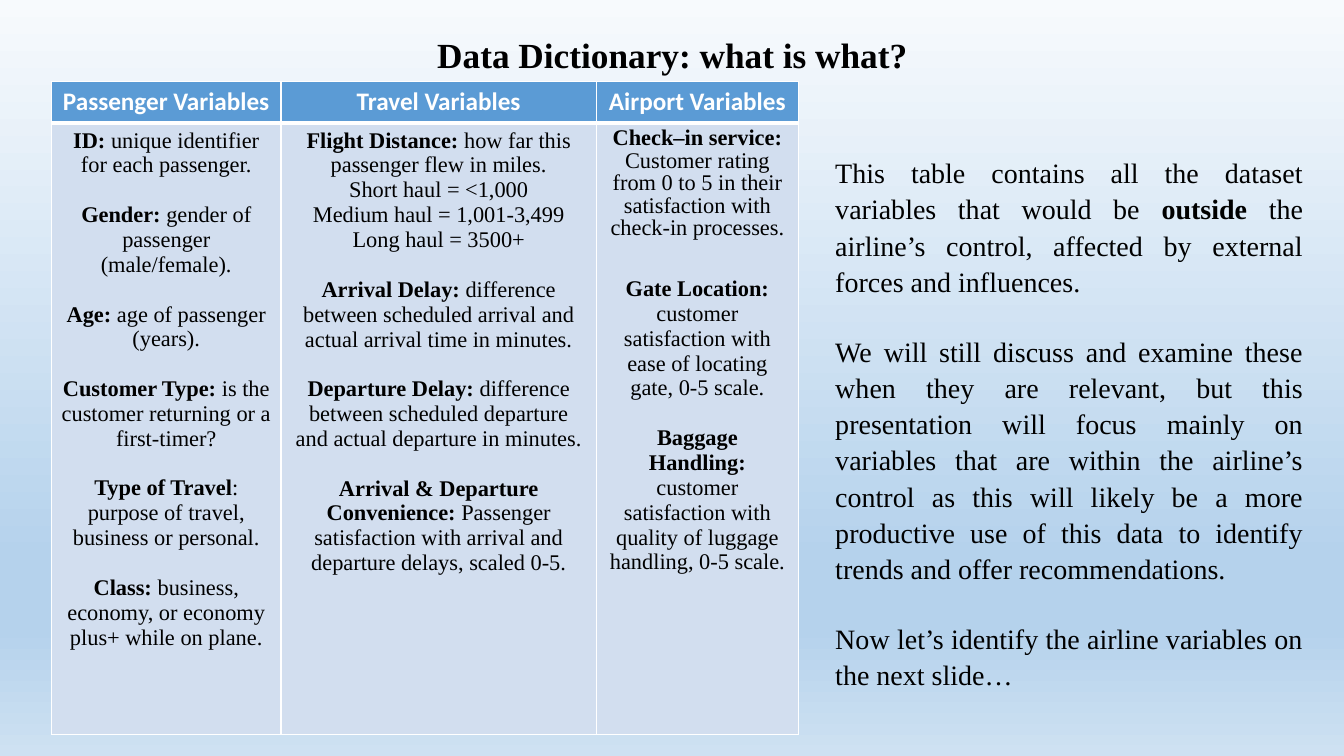
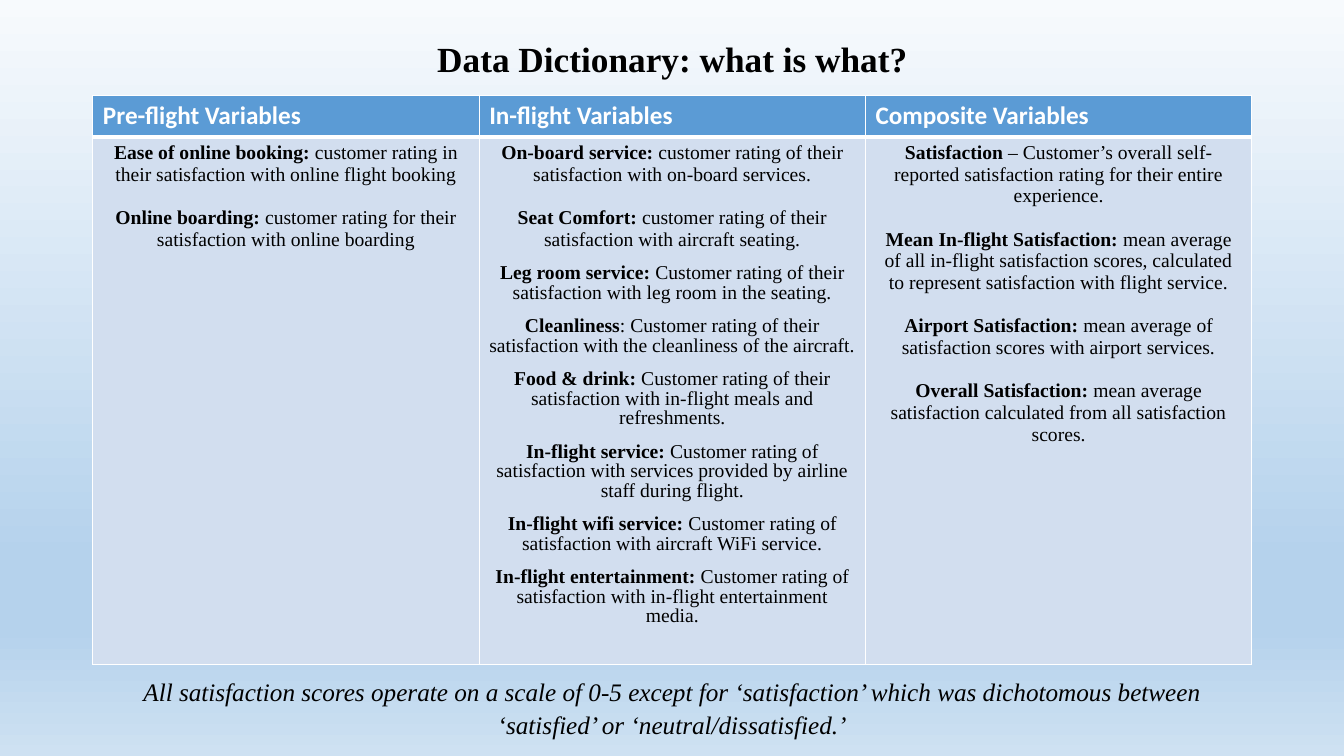
from lxml import etree
from pptx import Presentation
from pptx.dml.color import RGBColor
from pptx.enum.text import MSO_ANCHOR, PP_ALIGN
from pptx.oxml.ns import qn
from pptx.util import Cm, Pt

LEFT, CENTER, JUSTIFY = PP_ALIGN.LEFT, PP_ALIGN.CENTER, PP_ALIGN.JUSTIFY
MIDDLE = MSO_ANCHOR.MIDDLE

SERIF, SANS = "Times New Roman", "Calibri"
BLACK, WHITE, HEADER, BODY = "000000", "FFFFFF", "5B9BD5", "D2DEEF"
BACKGROUND = [(0, "F7FAFD"), (74, "B5D2EC"), (83, "B5D2EC"), (100, "CEE1F2")]
TITLE = "Data Dictionary: what is what?"
MARGIN, CONTENT_W = 2.34, 29.21
HEADER_H = 1.04
LOOSE = 1.08  # line spacing of the running text


def rgb(value):
    return RGBColor.from_string(value)


def write(tf, paragraphs, size, align=CENTER, color=BLACK, font=SERIF):
    """Each paragraph: space before, line spacing, then bold and regular runs in turn."""
    tf.word_wrap = True
    for i, (gap, spacing, *runs) in enumerate(paragraphs):
        p = tf.add_paragraph() if i else tf.paragraphs[0]
        p.alignment, p.line_spacing, p.space_before = align, spacing, Pt(gap)
        p.font.size, p.font.name, p.font.color.rgb = Pt(size), font, rgb(color)
        for k, text in enumerate(runs):
            if text:
                r = p.add_run()
                r.text = text
                r.font.bold = k % 2 == 0


# Content: a gap of one line separates most entries
LINE_16, LINE_14, LINE_20 = 17.7, 15.5, 23.9

passenger = [
    (0, 1, "ID:", " unique identifier for each passenger."),
    (LINE_16, 1, "Gender:", " gender of passenger (male/female)."),
    (LINE_16, 1, "Age:", " age of passenger (years)."),
    (LINE_16, 1, "Customer Type:", " is the customer returning or a first-timer?"),
    (LINE_16, 1, "Type of Travel", ": purpose of travel, business or personal."),
    (LINE_16, 1, "Class: ", "business, economy, or economy plus+ while on plane."),
]
travel = [
    (0, 1, "Flight Distance: ", "how far this passenger flew in miles."),
    (0, 1, "", "Short haul = <1,000"),
    (0, 1, "", "Medium haul = 1,001-3,499"),
    (0, 1, "", "Long haul = 3500+"),
    (LINE_16, 1, "Arrival Delay: ",
     "difference between scheduled arrival and actual arrival time in minutes."),
    (LINE_16, 1, "Departure Delay:",
     " difference between scheduled departure and actual departure in minutes."),
    (LINE_16, 1, "Arrival & Departure Convenience:",
     " Passenger satisfaction with arrival and departure delays, scaled 0-5."),
]
airport = [
    (0, 0.9, "Check–in service:",
     " Customer rating from 0 to 5 in their satisfaction with check-in processes."),
    (26, 1, "Gate Location:", " customer satisfaction with ease of locating gate, 0-5 scale."),
    (LINE_16, 1, "Baggage Handling:",
     " customer satisfaction with quality of luggage handling, 0-5 scale."),
]
pre_flight = [
    (0, 1, "Ease of online booking:",
     " customer rating in their satisfaction with online flight booking"),
    (LINE_14, 1, "Online boarding: ",
     "customer rating for their satisfaction with online boarding"),
]
in_flight = [
    (0, 1, "On-board service: ", "customer rating of their satisfaction with on-board services."),
    (LINE_14, 1, "Seat Comfort: ",
     "customer rating of their satisfaction with aircraft seating."),
    (10, 0.9, "Leg room service:",
     " Customer rating of their satisfaction with leg room in the seating."),
    (10, 0.9, "Cleanliness",
     ": Customer rating of their satisfaction with the cleanliness of the aircraft."),
    (10, 0.9, "Food & drink:",
     " Customer rating of their satisfaction with in-flight meals and refreshments."),
    (10, 0.9, "In-flight service:",
     " Customer rating of satisfaction with services provided by airline staff during flight."),
    (10, 0.9, "In-flight wifi service:",
     " Customer rating of satisfaction with aircraft WiFi service."),
    (10, 0.9, "In-flight entertainment:",
     " Customer rating of satisfaction with in-flight entertainment media."),
]
composite = [
    (0, 1, "Satisfaction",
     " – Customer’s overall self-reported satisfaction rating for their entire experience."),
    (LINE_14, 1, "Mean In-flight Satisfaction:",
     " mean average of all in-flight satisfaction scores, calculated to represent"
     " satisfaction with flight service."),
    (LINE_14, 1, "Airport Satisfaction:",
     " mean average of satisfaction scores with airport services."),
    (LINE_14, 1, "Overall Satisfaction: ",
     "mean average satisfaction calculated from all satisfaction scores."),
]
intro = [
    (0, LOOSE, "", "This table contains all the dataset variables that would be ", "outside",
     " the airline’s control, affected by external forces and influences."),
    (LINE_20, LOOSE, "",
     "We will still discuss and examine these when they are relevant, but this presentation"
     " will focus mainly on variables that are within the airline’s control as this will"
     " likely be a more productive use of this data to identify trends and offer"
     " recommendations."),
    (LINE_20, LOOSE, "", "Now let’s identify the airline variables on the next slide…"),
]
scale_note = [
    (0, LOOSE, "",
     "All satisfaction scores operate on a scale of 0-5 except for ‘satisfaction’ which was"
     " dichotomous between ‘satisfied’ or ‘neutral/dissatisfied.’"),
]

slides = [
    dict(title_top=0.91, at=(1.3, 2.06), body_h=15.4, size=16, header_align=CENTER,
         columns=[("Passenger Variables", 5.78, passenger),
                  ("Travel Variables", 7.95, travel),
                  ("Airport Variables", 5.09, airport)],
         note=intro, note_at=(20.8, 3.73, 12.29, 13.08), note_size=20,
         note_align=JUSTIFY, italic=False),
    dict(title_top=1.02, at=(MARGIN, 2.41), body_h=12.45, size=14, header_align=LEFT,
         columns=[("Pre-flight Variables", CONTENT_W / 3, pre_flight),
                  ("In-flight Variables", CONTENT_W / 3, in_flight),
                  ("Composite Variables", CONTENT_W / 3, composite)],
         note=scale_note, note_at=(MARGIN, 16.87, CONTENT_W, 1.8), note_size=18,
         note_align=CENTER, italic=True),
]

prs = Presentation()
prs.slide_width, prs.slide_height = Cm(33.87), Cm(19.05)

for d in slides:
    s = prs.slides.add_slide(prs.slide_layouts[6])

    # Background gradient, top to bottom
    fill = s.background.fill
    fill.gradient()
    fill.gradient_angle = 270
    stops = next(s.element.iter(qn("a:gsLst")))
    for stop in list(stops):
        stops.remove(stop)
    for pos, color in BACKGROUND:
        stop = etree.SubElement(stops, qn("a:gs"), pos=str(pos * 1000))
        etree.SubElement(stop, qn("a:srgbClr"), val=color)

    # Title
    tf = s.shapes.add_textbox(Cm(MARGIN), Cm(d["title_top"]), Cm(CONTENT_W), Cm(1.04)).text_frame
    tf.vertical_anchor = MIDDLE
    write(tf, [(0, 0.9, TITLE)], 25.2)

    # Table
    columns = d["columns"]
    width = sum(w for _, w, _ in columns)
    left, top = d["at"]
    table = s.shapes.add_table(2, len(columns), Cm(left), Cm(top), Cm(width),
                               Cm(HEADER_H + d["body_h"])).table
    table.rows[0].height, table.rows[1].height = Cm(HEADER_H), Cm(d["body_h"])
    for c, (heading, w, entries) in enumerate(columns):
        table.columns[c].width = Cm(w)
        head, body = table.cell(0, c), table.cell(1, c)
        for cell, color, thick in ((head, HEADER, "lnB"), (body, BODY, "lnT")):
            props = cell._tc.get_or_add_tcPr()
            for side in ("lnL", "lnR", "lnT", "lnB"):
                points = 3 if side == thick else 1
                line = etree.SubElement(props, qn("a:" + side), w=str(Pt(points)))
                solid = etree.SubElement(line, qn("a:solidFill"))
                etree.SubElement(solid, qn("a:srgbClr"), val=WHITE)
            cell.fill.solid()
            cell.fill.fore_color.rgb = rgb(color)
        write(head.text_frame, [(0, 1, heading)], 18, d["header_align"], WHITE, SANS)
        write(body.text_frame, entries, d["size"])

    # Running text
    tf = s.shapes.add_textbox(*(Cm(v) for v in d["note_at"])).text_frame
    write(tf, d["note"], d["note_size"], d["note_align"])
    for p in tf.paragraphs:
        p.font.italic = d["italic"]

prs.save("out.pptx")
